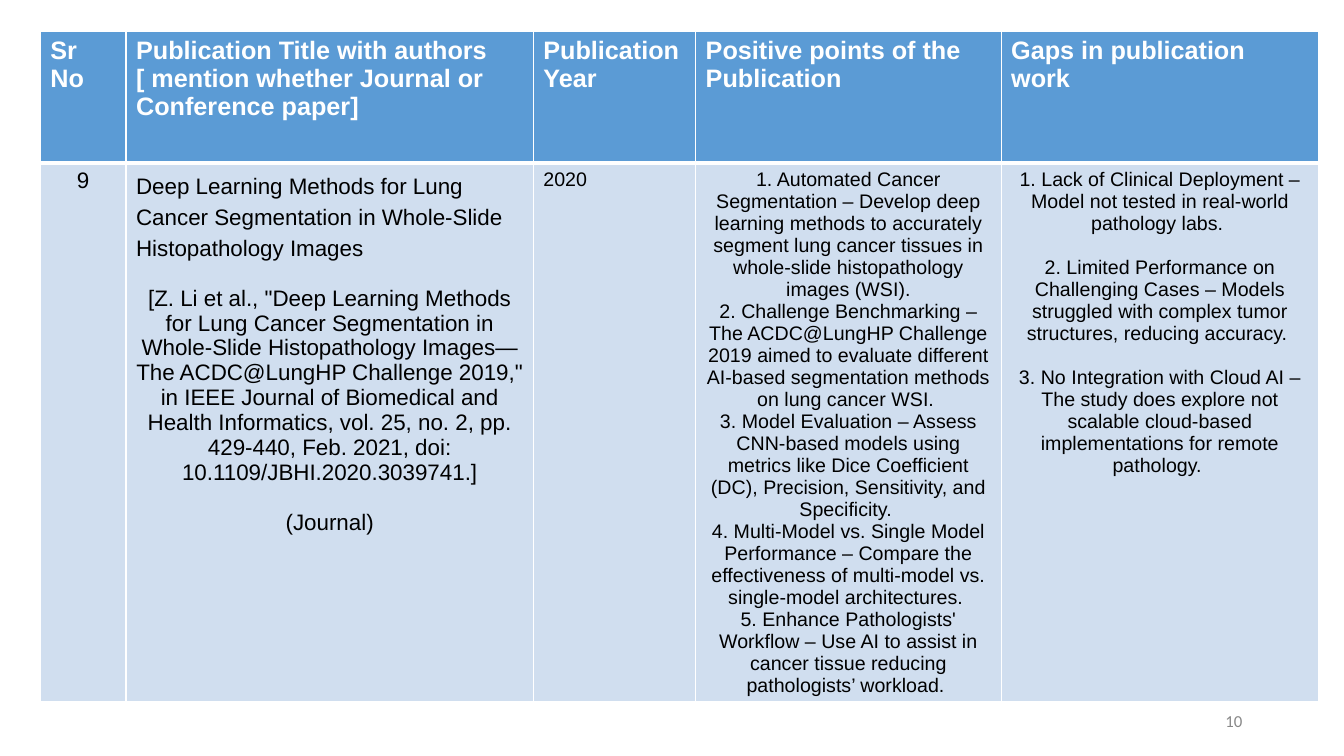
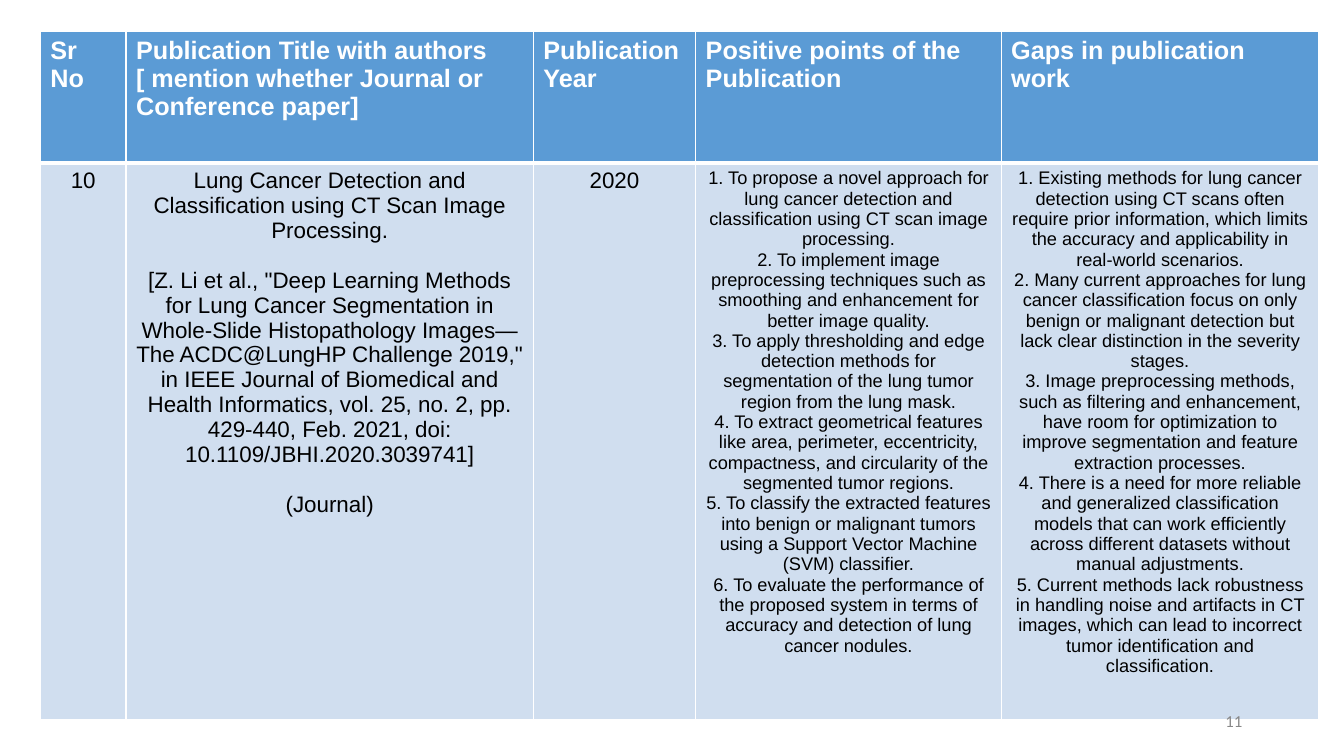
"""Build two literature-survey slides, each with one publication table."""
from dataclasses import dataclass

from lxml import etree
from pptx import Presentation
from pptx.dml.color import RGBColor
from pptx.enum.text import MSO_ANCHOR, PP_ALIGN
from pptx.oxml.ns import qn
from pptx.util import Inches, Pt

LEFT, CENTER, RIGHT = PP_ALIGN.LEFT, PP_ALIGN.CENTER, PP_ALIGN.RIGHT
MIDDLE = MSO_ANCHOR.MIDDLE

WHITE = RGBColor(0xFF, 0xFF, 0xFF)
BLACK = RGBColor(0x00, 0x00, 0x00)
GRAY = RGBColor(0x88, 0x88, 0x88)
HEADER_BLUE = RGBColor(0x5B, 0x9B, 0xD5)
BODY_BLUE = RGBColor(0xD0, 0xDE, 0xEF)

TABLE_FONT = "Arial"
NUMBER_FONT = "Calibri"
THIN, THICK = 1, 3

COLUMN_WIDTHS = [0.85, 4.04, 1.61, 3.03, 3.15]
ROW_COUNT = 2
MINIMUM_ROW_HEIGHT = 1.31
HEADERS = [
    "Sr No",
    "Publication Title with authors [ mention whether Journal or Conference paper]",
    "Publication Year",
    "Positive points of the Publication",
    "Gaps in publication work",
]
CITATION = (
    '[Z. Li et al., "Deep Learning Methods for Lung Cancer Segmentation in '
    'Whole-Slide Histopathology Images—The ACDC@LungHP Challenge 2019," in IEEE '
    "Journal of Biomedical and Health Informatics, vol. 25, no. 2, pp. 429-440, "
    "Feb. 2021, doi: 10.1109/JBHI.2020.3039741"
)


@dataclass
class CellText:
    """Paragraphs of a cell with their shared style."""

    paragraphs: list
    size: float = 16
    alignment: PP_ALIGN = CENTER
    gap: float = 0
    title_spacing: float = None


@dataclass
class Publication:
    """One survey entry, shown on its own slide."""

    page: str
    cells: list


PUBLICATIONS = [
    Publication("10", [
        CellText(["9"]),
        CellText([
            "Deep Learning Methods for Lung Cancer Segmentation in Whole-Slide "
            "Histopathology Images",
            CITATION + ".]",
            "(Journal)",
        ], gap=18, title_spacing=1.24),
        CellText(["2020"], size=14, alignment=LEFT),
        CellText([
            "1. Automated Cancer Segmentation – Develop deep learning methods to "
            "accurately segment lung cancer tissues in whole-slide histopathology "
            "images (WSI).",
            "2. Challenge Benchmarking – The ACDC@LungHP Challenge 2019 aimed to "
            "evaluate different AI-based segmentation methods on lung cancer WSI. ",
            "3. Model Evaluation – Assess CNN-based models using metrics like Dice "
            "Coefficient (DC), Precision, Sensitivity, and Specificity. ",
            "4. Multi-Model vs. Single Model Performance – Compare the "
            "effectiveness of multi-model vs. single-model architectures. ",
            "5. Enhance Pathologists' Workflow – Use AI to assist in cancer tissue "
            "reducing pathologists’ workload. ",
        ], size=14),
        CellText([
            "1. Lack of Clinical Deployment – Model not tested in real-world "
            "pathology labs. ",
            "2. Limited Performance on Challenging Cases – Models struggled with "
            "complex tumor structures, reducing accuracy. ",
            "3. No Integration with Cloud AI – The study does explore not scalable "
            "cloud-based implementations for remote pathology. ",
        ], size=14, gap=15.75),
    ]),
    Publication("11", [
        CellText(["10"]),
        CellText([
            "Lung Cancer Detection and Classification using CT Scan Image "
            "Processing.",
            CITATION + "]",
            "(Journal)",
        ], gap=18),
        CellText(["2020"]),
        CellText([
            "1. To propose a novel approach for lung cancer detection and "
            "classification using CT scan image processing.",
            "2. To implement image preprocessing techniques such as smoothing and "
            "enhancement for better image quality.",
            "3. To apply thresholding and edge detection methods for segmentation "
            "of the lung tumor region from the lung mask.",
            "4. To extract geometrical features like area, perimeter, "
            "eccentricity, compactness, and circularity of the segmented tumor "
            "regions.",
            "5. To classify the extracted features into benign or malignant tumors "
            "using a Support Vector Machine (SVM) classifier.",
            "6. To evaluate the performance of the proposed system in terms of "
            "accuracy and detection of lung cancer nodules.",
        ], size=13),
        CellText([
            "1. Existing methods for lung cancer detection using CT scans often "
            "require prior information, which limits the accuracy and "
            "applicability in real-world scenarios.",
            "2. Many current approaches for lung cancer classification focus on "
            "only benign or malignant detection but lack clear distinction in the "
            "severity stages.",
            "3. Image preprocessing methods, such as filtering and enhancement, "
            "have room for optimization to improve segmentation and feature "
            "extraction processes.",
            "4. There is a need for more reliable and generalized classification "
            "models that can work efficiently across different datasets without "
            "manual adjustments.",
            "5. Current methods lack robustness in handling noise and artifacts in "
            "CT images, which can lead to incorrect tumor identification and "
            "classification.",
        ], size=13),
    ]),
]


def add_run(paragraph, text, font_name, size, color, bold=False):
    """Add one styled run to a paragraph."""
    run = paragraph.add_run()
    run.text = text
    run.font.name = font_name
    run.font.size = Pt(size)
    run.font.bold = bold
    run.font.color.rgb = color


def set_borders(cell, top, bottom):
    """Draw white borders around a cell, widths in points."""
    properties = cell._tc.get_or_add_tcPr()
    widths = {"a:lnL": THIN, "a:lnR": THIN, "a:lnT": top, "a:lnB": bottom}
    for tag, width in widths.items():
        line = etree.SubElement(properties, qn(tag), w=str(Pt(width)))
        fill = etree.SubElement(line, qn("a:solidFill"))
        etree.SubElement(fill, qn("a:srgbClr"), val=str(WHITE))


def fill_cell(cell, content, background, color, bold=False):
    """Set the background and paragraphs of a cell."""
    cell.fill.solid()
    cell.fill.fore_color.rgb = background
    frame = cell.text_frame
    for index, text in enumerate(content.paragraphs):
        paragraph = frame.add_paragraph() if index else frame.paragraphs[0]
        paragraph.alignment = content.alignment
        if index and content.gap:
            paragraph.space_before = Pt(content.gap)
        if index == 0 and content.title_spacing:
            paragraph.alignment = LEFT
            paragraph.line_spacing = content.title_spacing
        add_run(paragraph, text, TABLE_FONT, content.size, color, bold)


def add_publication_table(slide, publication):
    """Add the header row and a row that grows with its text."""
    table = slide.shapes.add_table(
        ROW_COUNT, len(COLUMN_WIDTHS), Inches(0.4), Inches(0.31),
        Inches(sum(COLUMN_WIDTHS)), Inches(ROW_COUNT * MINIMUM_ROW_HEIGHT),
    ).table
    for row in table.rows:
        row.height = Inches(MINIMUM_ROW_HEIGHT)
    for index, width in enumerate(COLUMN_WIDTHS):
        table.columns[index].width = Inches(width)
        header, body = table.cell(0, index), table.cell(1, index)
        set_borders(header, THIN, THICK)
        set_borders(body, THICK, THIN)
        title = CellText([HEADERS[index]], size=18, alignment=LEFT)
        fill_cell(header, title, HEADER_BLUE, WHITE, bold=True)
        fill_cell(body, publication.cells[index], BODY_BLUE, BLACK)


def add_page_number(slide, number):
    """Add the page number at the bottom right."""
    box = slide.shapes.add_textbox(
        Inches(9.42), Inches(6.95), Inches(3), Inches(0.4))
    frame = box.text_frame
    frame.word_wrap = True
    frame.vertical_anchor = MIDDLE
    paragraph = frame.paragraphs[0]
    paragraph.alignment = RIGHT
    add_run(paragraph, number, NUMBER_FONT, 12, GRAY)


def main():
    """Build and save the presentation."""
    presentation = Presentation()
    presentation.slide_width = Inches(13.33)
    presentation.slide_height = Inches(7.5)
    for publication in PUBLICATIONS:
        slide = presentation.slides.add_slide(presentation.slide_layouts[6])
        add_publication_table(slide, publication)
        add_page_number(slide, publication.page)
    presentation.save("out.pptx")


if __name__ == "__main__":
    main()
